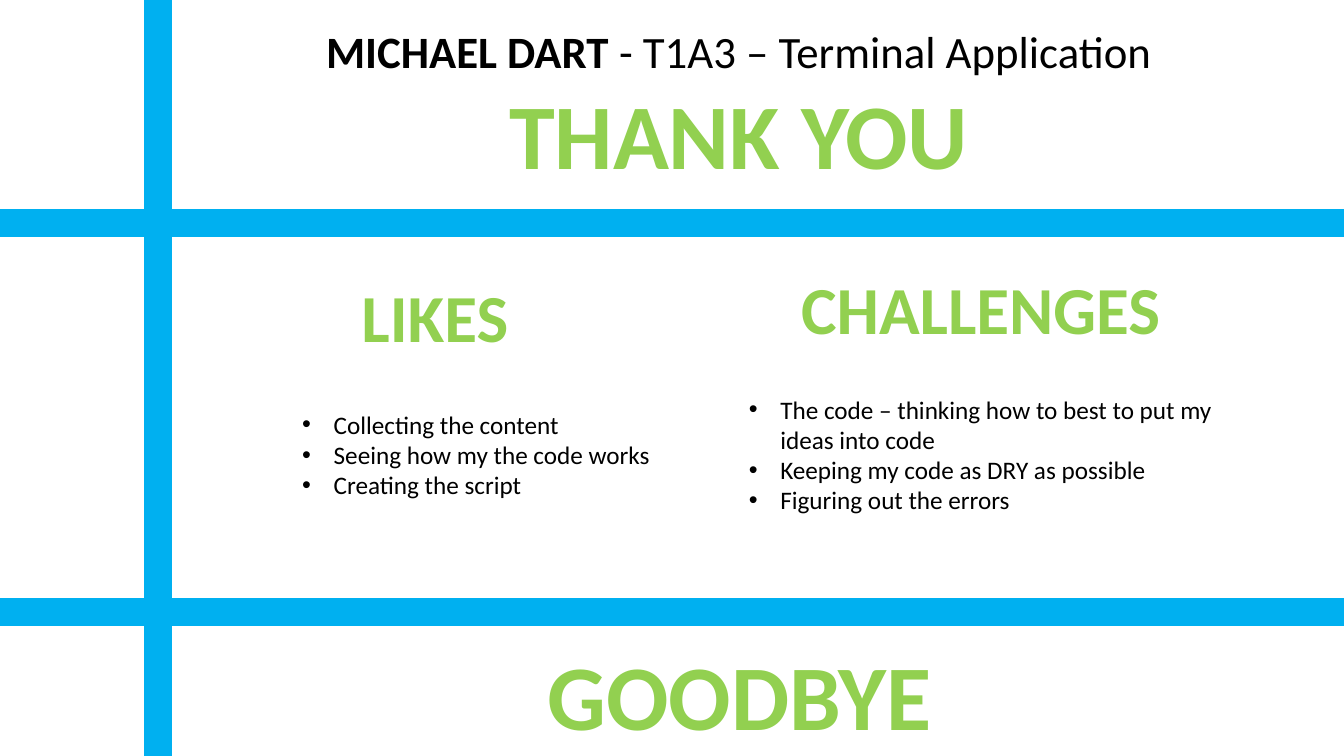
import collections
import pptx
import pptx.dml.color
import pptx.enum.shapes
import pptx.enum.text
import pptx.util
from lxml import etree

Pt = pptx.util.Pt
Align = pptx.enum.text.PP_ALIGN
Box = collections.namedtuple("Box", "left top width height")
Theme = collections.namedtuple("Theme", "font ink green blue name display heading body bar")
theme = Theme("Calibri", "000000", "92D050", "00B0F0", 32, 66, 48, 18, 20)
PAGE = Box(0, 0, 960, 540)
INDENT = 22.5


def style(size, colour, bold=False):
    """Return the format values of one run."""
    return {"name": theme.font, "size": Pt(size), "bold": bold, "colour": colour}


def write(para, text, values):
    """Add a formatted run to a paragraph."""
    span = para.add_run()
    span.text = text
    for key, value in values.items():
        if key == "colour":
            span.font.color.rgb = pptx.dml.color.RGBColor.from_string(value)
        else:
            setattr(span.font, key, value)


def fill_text(shape, paragraphs, align, wrap=True):
    """Fill a text shape with paragraphs, each a list of (text, format) runs."""
    frame = shape.text_frame
    frame.word_wrap = wrap
    frame.auto_size = pptx.enum.text.MSO_AUTO_SIZE.NONE
    frame.vertical_anchor = pptx.enum.text.MSO_ANCHOR.TOP
    for index, runs in enumerate(paragraphs):
        para = frame.add_paragraph() if index else frame.paragraphs[0]
        para.alignment = align
        for text, values in runs:
            write(para, text, values)
    return frame


def add_text(page, box, paragraphs, align=Align.CENTER, wrap=True):
    """Add a text box that covers the given box."""
    shape = page.shapes.add_textbox(*map(Pt, box))
    return fill_text(shape, paragraphs, align, wrap)


def add_bar(page, start, end):
    """Draw one thick blue line."""
    bar = page.shapes.add_connector(
        pptx.enum.shapes.MSO_CONNECTOR.STRAIGHT, *map(Pt, start + end))
    bar.line.color.rgb = pptx.dml.color.RGBColor.from_string(theme.blue)
    bar.line.width = Pt(theme.bar)
    etree.SubElement(bar.element.spPr, pptx.oxml.ns.qn("a:effectLst"))


def add_grid(page, box, column, rows):
    """Draw the vertical bar and the horizontal bars across the box."""
    right, bottom = box.left + box.width, box.top + box.height
    add_bar(page, (box.left + column, box.top), (box.left + column, bottom))
    for row in rows:
        add_bar(page, (right, box.top + row), (box.left, box.top + row))


def add_title(page, box):
    """Place the name line and the large thanks in the title placeholder."""
    title = page.shapes.title
    for key, value in zip(box._fields, box):
        setattr(title, key, Pt(value))
    fill_text(title, [
        [("MICHAEL DART ", style(theme.name, theme.ink, True)),
         ("- T1A3 – Terminal Application", style(theme.name, theme.ink))],
        [("THANK YOU", style(theme.display, theme.green, True))],
    ], Align.CENTER)


def add_bullets(page, box, items):
    """Add a bulleted list."""
    frame = add_text(page, box, [[(item, style(theme.body, theme.ink))] for item in items],
                     Align.LEFT)
    for para in frame.paragraphs:
        properties = para._p.get_or_add_pPr()
        properties.set("marL", str(Pt(INDENT)))
        properties.set("indent", str(-Pt(INDENT)))
        etree.SubElement(properties, pptx.oxml.ns.qn("a:buFont"), typeface="Arial")
        etree.SubElement(properties, pptx.oxml.ns.qn("a:buChar"), char="•")


def add_column(page, box, heading, heading_left, heading_width, list_top, items):
    """Place a heading and its list; offsets are measured from the box."""
    heading_box = Box(box.left + heading_left, box.top, heading_width, 87)
    add_text(page, heading_box, [[(heading, style(theme.heading, theme.green, True))]],
             wrap=False)
    add_bullets(page, Box(box.left, box.top + list_top, box.width, box.height - list_top),
                items)


def add_farewell(page, box):
    """Add the closing word."""
    add_text(page, box, [[("GOODBYE", style(theme.display, theme.green, True))]], wrap=False)


def build_closing(deck):
    """Build the closing slide."""
    page = deck.slides.add_slide(deck.slide_layouts.get_by_name("Title Only"))
    add_grid(page, PAGE, 113, (159, 437))
    add_title(page, Box(208.8, 13, 638, 126))
    add_column(page, Box(208.8, 193, 305.3, 168.5), "LIKES", 41.8, 120.2, 95.7, (
        "Collecting the content",
        "Seeing how my the code works",
        "Creating the script",
    ))
    add_column(page, Box(527.8, 187.2, 355.7, 185), "CHALLENGES", 36, 273.6, 90.7, (
        "The code – thinking how to best to put my ideas into code",
        "Keeping my code as DRY as possible",
        "Figuring out the errors",
    ))
    add_farewell(page, Box(382.3, 452.2, 291.6, 87))


deck = pptx.Presentation()
deck.slide_width, deck.slide_height = Pt(PAGE.width), Pt(PAGE.height)
build_closing(deck)
deck.save("out.pptx")
